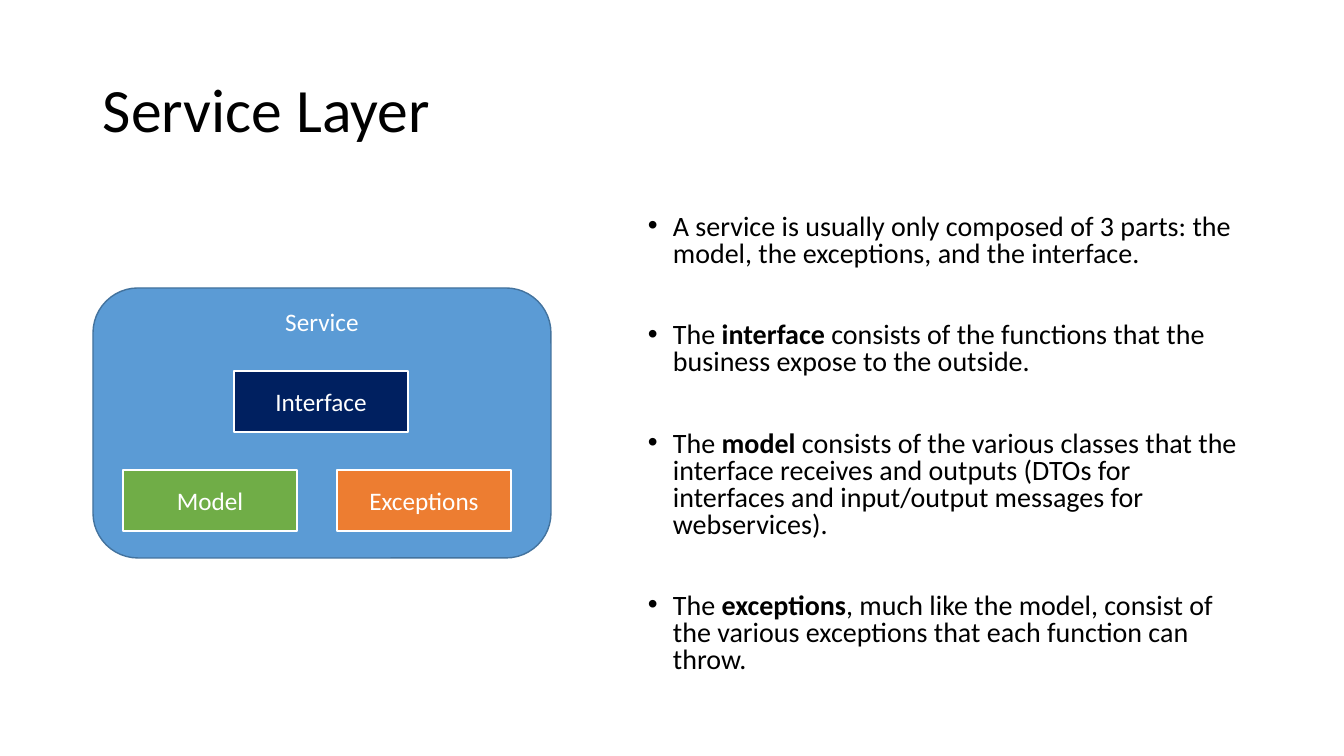
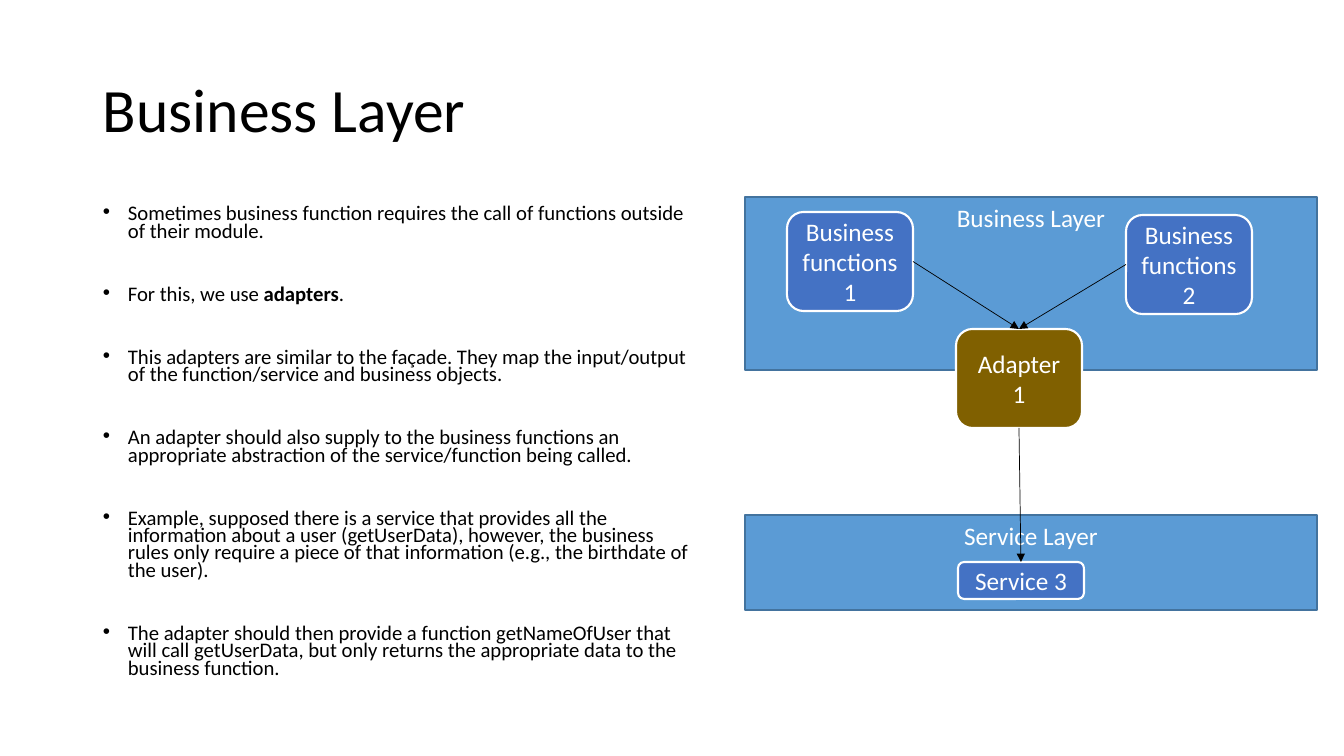
from lxml import etree
from pptx import Presentation
from pptx import util as u
from pptx.dml import color
from pptx.enum import shapes, text
from pptx.oxml import ns

PX = 914400 / 100.8
FONT = "Calibri"
COLORS = {
    "ink": "000000",
    "white": "FFFFFF",
    "panel": "5B9BD5",
    "panel_line": "43739E",
    "interface": "002060",
    "model": "70AD47",
    "exceptions": "ED7D31",
    "function": "4472C4",
    "adapter": "806000",
}
TITLE_BOX = (93, 40, 1159, 146)
INDENT = 25
RECT = shapes.MSO_SHAPE.RECTANGLE
ROUND = shapes.MSO_SHAPE.ROUNDED_RECTANGLE
TOP, LEFT, BOTTOM, RIGHT = range(4)

SERVICE_POINTS = [
    "A service is usually only composed of 3 parts: the model, the exceptions, and the interface.",
    "The *interface* consists of the functions that the business expose to the outside.",
    "The *model* consists of the various classes that the interface receives and outputs "
    "(DTOs for interfaces and input/output messages for webservices).",
    "The *exceptions*, much like the model, consist of the various exceptions that each "
    "function can throw.",
]
BUSINESS_POINTS = [
    "Sometimes business function requires the call of functions outside of their module.",
    "For this, we use *adapters*.",
    "This adapters are similar to the façade. They map the input/output of the "
    "function/service and business objects.",
    "An adapter should also supply to the business functions an appropriate abstraction "
    "of the service/function being called.",
    "Example, supposed there is a service that provides all the information about a user "
    "(getUserData), however, the business rules only require a piece of that information "
    "(e.g., the birthdate of the user).",
    "The adapter should then provide a function getNameOfUser that will call getUserData, "
    "but only returns the appropriate data to the business function.",
]


def px(value):
    return u.Emu(round(value * PX))


def rgb(name):
    return color.RGBColor.from_string(COLORS[name])


def style_span(span, size, ink, bold=False):
    span.font.name = FONT
    span.font.size = u.Pt(size)
    span.font.bold = bold
    span.font.color.rgb = rgb(ink)


def add_text_box(page, area):
    frame = page.shapes.add_textbox(*map(px, area)).text_frame
    frame.word_wrap = True
    return frame


def add_title(page, title):
    frame = add_text_box(page, TITLE_BOX)
    frame.vertical_anchor = text.MSO_ANCHOR.MIDDLE
    frame.text = title
    para = frame.paragraphs[0]
    para.line_spacing = 0.9
    style_span(para.runs[0], 44, "ink")


def add_bullet(para):
    props = para._p.get_or_add_pPr()
    props.set("marL", str(px(INDENT)))
    props.set("indent", str(-px(INDENT)))
    etree.SubElement(props, ns.qn("a:buFont"), typeface="Arial")
    etree.SubElement(props, ns.qn("a:buChar"), char="•")


def add_points(page, area, points, size, spacing, gap):
    frame = add_text_box(page, area)
    for index, point in enumerate(points):
        para = frame.add_paragraph() if index else frame.paragraphs[0]
        para.line_spacing = spacing
        para.space_before = u.Pt(gap if index else 10)
        add_bullet(para)
        for part, words in enumerate(point.split("*")):
            span = para.add_run()
            span.text = words
            style_span(span, size, "ink", bold=part % 2 == 1)


def add_box(page, kind, area, label, fill, line="white", width=1.5,
            anchor=text.MSO_ANCHOR.MIDDLE):
    box = page.shapes.add_shape(kind, *map(px, area))
    box.shadow.inherit = False
    box.fill.solid()
    box.fill.fore_color.rgb = rgb(fill)
    box.line.color.rgb = rgb(line)
    box.line.width = u.Pt(width)
    frame = box.text_frame
    frame.word_wrap = True
    frame.vertical_anchor = anchor
    frame.text = label
    para = frame.paragraphs[0]
    para.alignment = text.PP_ALIGN.CENTER
    style_span(para.runs[0], 18, "white")
    return box


def add_panel(page, kind, area, label):
    return add_box(page, kind, area, label, "panel", "panel_line", 1, text.MSO_ANCHOR.TOP)


def add_arrow(page, source, source_side, target, target_side):
    arrow = page.shapes.add_connector(shapes.MSO_CONNECTOR.STRAIGHT, 0, 0, 0, 0)
    arrow.begin_connect(source, source_side)
    arrow.end_connect(target, target_side)
    arrow.line.color.rgb = rgb("ink")
    arrow.line.width = u.Pt(0.5)
    etree.SubElement(arrow.line._get_or_add_ln(), ns.qn("a:tailEnd"), type="triangle")
    etree.SubElement(arrow._element.spPr, ns.qn("a:effectLst"))


def add_service_diagram(page, left, top):
    add_panel(page, ROUND, (left, top, 458, 270), "Service")
    parts = [
        ("Model", "model", 30, 182),
        ("Exceptions", "exceptions", 244, 182),
        ("Interface", "interface", 141, 83),
    ]
    for label, fill, x, y in parts:
        add_box(page, RECT, (left + x, top + y, 174, 61), label, fill)


def add_layers_diagram(page, left, top):
    def node(label, fill, x, y, height=99):
        return add_box(page, ROUND, (left + x, top + y, 126, height), label, fill)

    add_panel(page, RECT, (left, top, 572, 173), "Business Layer")
    first = node("Business functions 1", "function", 42, 15)
    second = node("Business functions 2", "function", 381, 18)
    adapter = node("Adapter 1", "adapter", 211, 132)
    add_panel(page, RECT, (left, top + 318, 572, 95), "Service Layer")
    service = node("Service 3", "function", 213, 365, 37)
    add_arrow(page, first, RIGHT, adapter, TOP)
    add_arrow(page, second, LEFT, adapter, TOP)
    add_arrow(page, adapter, BOTTOM, service, TOP)


def add_page(deck, title):
    page = deck.slides.add_slide(deck.slide_layouts[6])
    add_title(page, title)
    return page


def build_service_page(deck):
    page = add_page(deck, "Service Layer")
    add_points(page, (638, 210, 613, 480), SERVICE_POINTS, 20, 0.8, 39)
    add_service_diagram(page, 93, 288)


def build_business_page(deck):
    page = add_page(deck, "Business Layer")
    add_points(page, (93, 202, 613, 514), BUSINESS_POINTS, 14.8, 0.7, 32.6)
    add_layers_diagram(page, 745, 197)


def main():
    deck = Presentation()
    deck.slide_width = px(1344)
    deck.slide_height = px(756)
    build_service_page(deck)
    build_business_page(deck)
    deck.save("out.pptx")


if __name__ == "__main__":
    main()
